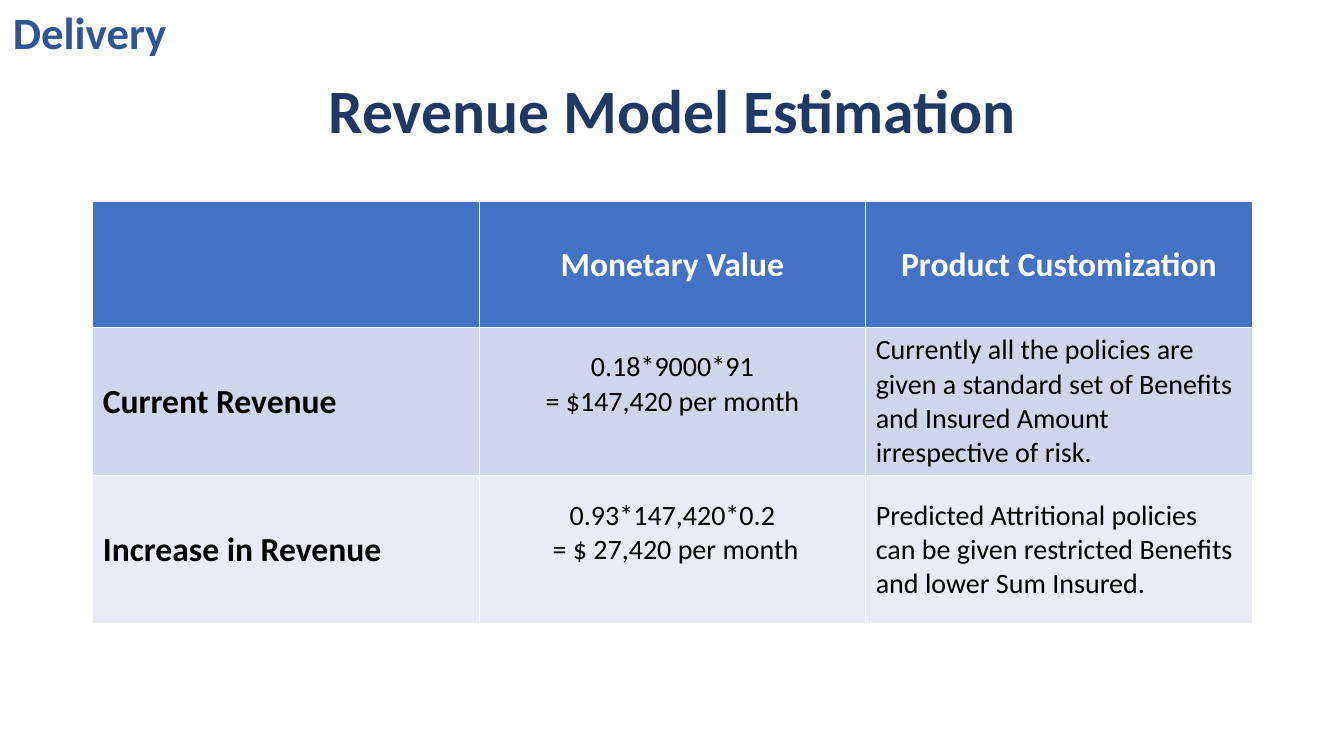
"""Build the revenue model estimation slide."""
from pptx import Presentation
from pptx.dml.color import RGBColor
from pptx.enum.text import MSO_ANCHOR, MSO_AUTO_SIZE, PP_ALIGN
from pptx.util import Inches, Pt

LEFT, CENTER = PP_ALIGN.LEFT, PP_ALIGN.CENTER
TOP, MIDDLE = MSO_ANCHOR.TOP, MSO_ANCHOR.MIDDLE
GROW = MSO_AUTO_SIZE.SHAPE_TO_FIT_TEXT

COLORS = {
    "section": "2F5597",
    "title": "203864",
    "header": "4472C4",
    "header_text": "FFFFFF",
    "body_text": "000000",
    "band_dark": "CFD5EA",
    "band_light": "E9EBF5",
}
SECTION = "Delivery"
TITLE = "Revenue Model Estimation"
REVENUE_ROWS = [
    ("", "Monetary Value", "Product Customization"),
    (
        "Current Revenue",
        "0.18*9000*91\n= $147,420 per month",
        "Currently all the policies are given a standard set of Benefits "
        "and Insured Amount irrespective of risk.",
    ),
    (
        "Increase in Revenue",
        "0.93*147,420*0.2\n = $ 27,420 per month",
        "Predicted Attritional policies can be given restricted Benefits "
        "and lower Sum Insured.",
    ),
]
ROW_FILLS = ["header", "band_dark", "band_light"]
ROW_HEIGHTS = [1.25, 1.47, 1.47]
MARGIN, CONTENT_WIDTH, TABLE_TOP = 0.92, 11.5, 2
FORMULA_BOTTOM_INSET = 0.39


def write(frame, text, size, color, bold=True, align=LEFT, spacing=None):
    """Fill a text frame with one paragraph per line of text."""
    frame.word_wrap = True
    for index, line in enumerate(text.split("\n")):
        paragraph = frame.paragraphs[0] if index == 0 else frame.add_paragraph()
        paragraph.text = line
        paragraph.alignment = align
        paragraph.line_spacing = spacing
        font = paragraph.font
        font.name, font.size, font.bold = "Calibri", Pt(size), bold
        font.color.rgb = RGBColor.from_string(COLORS[color])


def add_heading(slide, bounds, text, anchor=TOP, **text_format):
    """Add a heading in its own text box."""
    frame = slide.shapes.add_textbox(*map(Inches, bounds)).text_frame
    frame.vertical_anchor = anchor
    write(frame, text, **text_format)
    return frame


def add_revenue_table(slide):
    """Add the comparison of current and increased revenue."""
    columns = len(REVENUE_ROWS[0])
    table = slide.shapes.add_table(
        len(REVENUE_ROWS), columns, Inches(MARGIN), Inches(TABLE_TOP),
        Inches(CONTENT_WIDTH), Inches(sum(ROW_HEIGHTS)),
    ).table
    for row, texts in enumerate(REVENUE_ROWS):
        table.rows[row].height = Inches(ROW_HEIGHTS[row])
        for column, text in enumerate(texts):
            cell = table.cell(row, column)
            cell.fill.solid()
            cell.fill.fore_color.rgb = RGBColor.from_string(COLORS[ROW_FILLS[row]])
            cell.vertical_anchor = MIDDLE
            is_header = row == 0
            is_label = is_header or column == 0
            if column == 1 and not is_header:
                cell.margin_bottom = Inches(FORMULA_BOTTOM_INSET)
            write(
                cell.text_frame, text,
                size=24 if is_label else 20,
                color="header_text" if is_header else "body_text",
                bold=is_label,
                align=CENTER if is_header or column == 1 else LEFT,
            )


def main():
    """Assemble and save the slide."""
    deck = Presentation()
    deck.slide_width, deck.slide_height = Inches(13.33), Inches(7.5)
    slide = deck.slides.add_slide(deck.slide_layouts[6])
    add_heading(slide, (MARGIN, 0.4, CONTENT_WIDTH, 1.45), TITLE, anchor=MIDDLE,
                size=44, color="title", align=CENTER, spacing=0.9)
    add_revenue_table(slide)
    section = add_heading(slide, (0.03, 0, 1.78, 0.64), SECTION,
                          size=32, color="section")
    section.auto_size = GROW
    deck.save("out.pptx")


if __name__ == "__main__":
    main()
